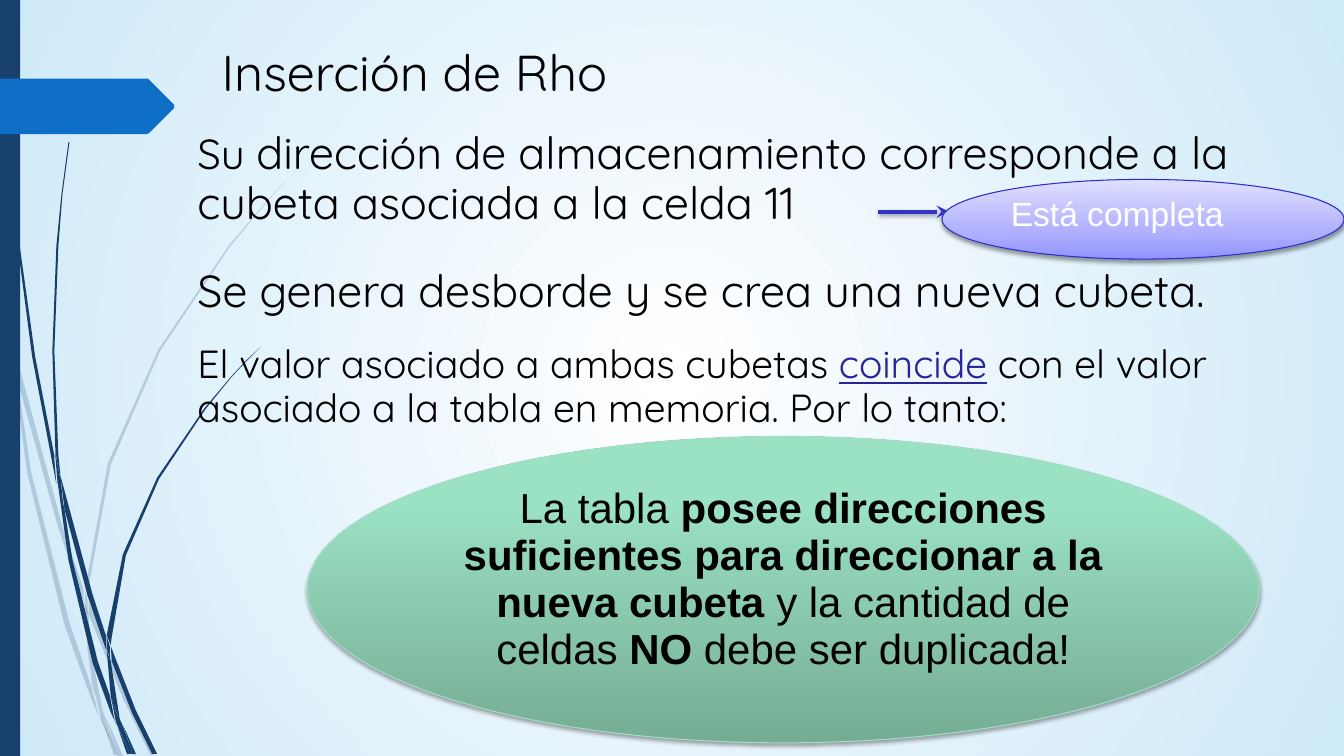
from dataclasses import dataclass
from lxml import etree
from pptx import Presentation
from pptx import util as u
from pptx.dml.color import RGBColor
from pptx.enum import shapes, text
from pptx.oxml.ns import qn

PX = 9144
WIDTH, HEIGHT = 1334, 750


@dataclass(frozen=True)
class Theme:
    heading: str = "Quicksand"
    label: str = "Arial"
    ink: str = "000000"
    white: str = "FFFFFF"
    navy: str = "17406D"
    blue: str = "0F6FC6"
    accent: str = "262699"
    arrow: str = "3333CC"
    violet_edge: str = "2D2DCA"
    green_edge: str = "A4DDC5"
    sky: tuple = ((0, "FFFFFF"), (100, "CEE9F8"))
    violet: tuple = ((0, "9393FF"), (35, "B1B1FF"), (100, "DFDFFF"))
    green: tuple = ((0, "76AC94"), (80, "9BE2C4"), (100, "9BE4C5"))
    title: int = 36
    large: int = 32
    medium: int = 30
    small: int = 28
    note: int = 24
    spacing: float = 0.93
    opaque: int = 100
    pale: int = 20


T = Theme()

TITLE = [("Inserción de Rho", T.title, {})]
ADDRESS = [
    ("Su ", T.medium, {}),
    ("dirección de almacenamiento corresponde a la cubeta asociada a la celda 11", T.large, {}),
]
OVERFLOW = [("Se genera desborde y se crea una nueva cubeta.", T.large, {})]
VALUE = [
    ("El valor asociado a ambas cubetas ", T.small, {}),
    ("coincide", T.small, {"color": T.accent, "underline": True}),
    (" con el valor asociado a la tabla en memoria. Por lo tanto:", T.small, {}),
]
FULL = [("Está completa", T.note, {"color": T.white})]
CONCLUSION = [
    ("La tabla ", T.medium, {}),
    ("posee direcciones suficientes para direccionar a la nueva cubeta ", T.medium, {"bold": True}),
    ("y la cantidad de celdas ", T.medium, {}),
    ("NO", T.medium, {"bold": True}),
    (" debe ser duplicada!", T.medium, {}),
]
TEXTS = [
    ((210, 36, 427, 71), TITLE, 1.0),
    ((186, 123, 1126, 170), ADDRESS, T.spacing),
    ((186, 260, 1114, 60), OVERFLOW, T.spacing),
    ((186, 336, 1032, 98), VALUE, T.spacing),
]
OVALS = [
    ((935, 178, 399, 79), T.violet, T.violet_edge, 38, FULL, text.PP_ALIGN.LEFT),
    ((305, 433, 945, 304), T.green, T.green_edge, 35, CONCLUSION, text.PP_ALIGN.CENTER),
]
TAG = [(0, 78), (147, 78), (173, 104), (173, 107), (148, 132), (146, 133), (0, 133)]
PALE_GRASS = [
    [(10, 349), (7, 321), (0, 282), (0, 299), (9, 343)],
    [(57, 521), (83, 598), (83, 585), (61, 519), (14, 345), (17, 376)],
    [(92, 607), (88, 596), (88, 610), (122, 693), (149, 749), (153, 749), (126, 691)],
    [(118, 750), (122, 750), (105, 711)],
    [(91, 682), (69, 618), (31, 469), (17, 376), (11, 350), (27, 469), (64, 620),
     (90, 692), (99, 713), (97, 706)],
    [(84, 599), (87, 645), (92, 682), (96, 691), (104, 710), (102, 705), (90, 645),
     (88, 610), (88, 608)],
    [(88, 582), (110, 461), (159, 348), (228, 245), (267, 198), (288, 175), (310, 153),
     (288, 175), (267, 197), (227, 244), (157, 347), (107, 460), (85, 582), (85, 585), (88, 594)],
    [(101, 714), (113, 749), (117, 749)],
    [(86, 607), (87, 609), (87, 595), (85, 586), (84, 598)],
    [(96, 692), (93, 683), (99, 707), (100, 714), (117, 750), (118, 750), (104, 711)],
]
DARK_GRASS = [
    [(7, 110), (16, 232), (32, 354), (55, 475), (56, 480), (54, 456), (54, 452), (35, 354),
     (18, 232), (8, 109), (4, 48), (3, 0), (3, 48)],
    [(87, 591), (105, 644), (105, 632), (105, 630), (92, 590), (60, 472), (64, 505)],
    [(113, 649), (110, 641), (111, 656), (131, 707), (151, 748), (156, 748), (135, 705)],
    [(109, 690), (97, 656), (72, 556), (64, 505), (57, 477), (68, 556), (92, 658),
     (110, 707), (116, 720), (114, 716)],
    [(60, 471), (58, 452), (54, 348), (58, 244), (62, 193), (69, 141), (68, 141), (61, 193),
     (56, 244), (52, 348), (55, 448), (59, 470)],
    [(132, 748), (135, 748), (122, 719)],
    [(57, 477), (63, 504), (60, 472), (59, 471), (55, 449), (55, 453)],
    [(111, 632), (125, 551), (158, 475), (204, 406), (230, 374), (244, 359), (259, 344),
     (244, 358), (230, 373), (203, 405), (156, 474), (122, 550), (106, 630), (110, 640)],
    [(117, 722), (126, 748), (129, 748)],
    [(106, 645), (110, 691), (115, 705), (120, 717), (119, 714), (110, 656), (108, 651)],
    [(106, 644), (108, 649), (109, 655), (109, 641), (106, 631), (106, 633)],
    [(115, 706), (110, 691), (115, 716), (117, 721), (129, 748), (132, 748), (121, 718)],
]


def rgb(value):
    return RGBColor.from_string(value)


def box(*lengths):
    return [u.Emu(n * PX) for n in lengths]


def sub(parent, tag, **attrs):
    return etree.SubElement(parent, qn(tag), {k: str(v) for k, v in attrs.items()})


def gradient(fill, root, stops, angle=None):
    fill.gradient()
    grad = next(root.iter(qn("a:gradFill")))
    for child in list(grad):
        grad.remove(child)
    stop_list = sub(grad, "a:gsLst")
    for pos, color in stops:
        sub(sub(stop_list, "a:gs", pos=pos * 1000), "a:srgbClr", val=color)
    if angle is None:
        centre = sub(grad, "a:path", path="circle")
        sub(centre, "a:fillToRect", l=50000, t=50000, r=50000, b=50000)
    else:
        sub(grad, "a:lin", ang=angle * 60000, scaled=0)


def cast_shadow(effects, alpha):
    shadow = sub(effects, "a:outerShdw", blurRad=39370, dist=22860, dir=5400000, rotWithShape=0)
    sub(sub(shadow, "a:srgbClr", val=T.ink), "a:alpha", val=alpha * 1000)


def solid(sp, color, alpha=T.opaque):
    sp.shadow.inherit = False
    sp.fill.solid()
    sp.fill.fore_color.rgb = rgb(color)
    sp.line.fill.background()
    if alpha < T.opaque:
        sub(next(sp.element.spPr.iter(qn("a:srgbClr"))), "a:alpha", val=alpha * 1000)


def add_outline(s, points, color, alpha=T.opaque):
    builder = s.shapes.build_freeform(*points[0], scale=PX)
    builder.add_line_segments(points[1:], close=True)
    solid(builder.convert_to_shape(), color, alpha)


def write(tf, runs, font, align=text.PP_ALIGN.LEFT, spacing=T.spacing):
    tf.word_wrap = True
    tf.auto_size = text.MSO_AUTO_SIZE.NONE
    tf.vertical_anchor = text.MSO_ANCHOR.TOP
    tf.margin_left = tf.margin_right = u.Emu(10 * PX)
    tf.margin_top = tf.margin_bottom = u.Emu(5 * PX)
    p = tf.paragraphs[0]
    p.alignment, p.line_spacing = align, spacing
    p.space_before = p.space_after = u.Pt(0)
    for words, size, style in runs:
        r = p.add_run()
        r.text = words
        r.font.name, r.font.size = font, u.Pt(size)
        r.font.bold = style.get("bold", False)
        r.font.underline = style.get("underline", False)
        r.font.color.rgb = rgb(style.get("color", T.ink))
    return p


def add_oval(s, place, stops, edge, alpha, runs, align):
    sp = s.shapes.add_shape(shapes.MSO_SHAPE.OVAL, *box(*place))
    gradient(sp.fill, sp.element, stops, 270)
    sp.line.color.rgb, sp.line.width = rgb(edge), u.Pt(0.75)
    sp.shadow.inherit = False
    cast_shadow(sp.element.spPr.find(qn("a:effectLst")), alpha)
    write(sp.text_frame, runs, T.label, align)


def add_arrow(s):
    line = s.shapes.add_connector(shapes.MSO_CONNECTOR.STRAIGHT, *box(872, 210, 942, 210))
    line.line.color.rgb, line.line.width = rgb(T.arrow), u.Pt(3)
    props = line.element.spPr
    sub(props.find(qn("a:ln")), "a:tailEnd", type="stealth")
    cast_shadow(sub(props, "a:effectLst"), 35)


def fill_placeholders(s):
    *used, spare = list(s.placeholders)
    spare.element.getparent().remove(spare.element)
    for sp, (place, runs, spacing) in zip(used, TEXTS):
        sp.left, sp.top, sp.width, sp.height = box(*place)
        s.shapes.element.append(sp.element)
        props = write(sp.text_frame, runs, T.heading, spacing=spacing)._p.get_or_add_pPr()
        props.set("marL", "0")
        props.set("indent", "0")
        sub(props, "a:buNone")


def main():
    prs = Presentation()
    prs.slide_width, prs.slide_height = box(WIDTH, HEIGHT)
    s = prs.slides.add_slide(prs.slide_layouts.get_by_name("Comparison"))
    gradient(s.background.fill, s.element, T.sky)
    for grass, alpha in ((PALE_GRASS, T.pale), (DARK_GRASS, T.opaque)):
        for points in grass:
            add_outline(s, points, T.navy, alpha)
    solid(s.shapes.add_shape(shapes.MSO_SHAPE.RECTANGLE, *box(0, 0, 20, HEIGHT)), T.navy)
    add_outline(s, TAG, T.blue)
    fill_placeholders(s)
    add_arrow(s)
    for oval in OVALS:
        add_oval(s, *oval)
    prs.save("out.pptx")


if __name__ == "__main__":
    main()
